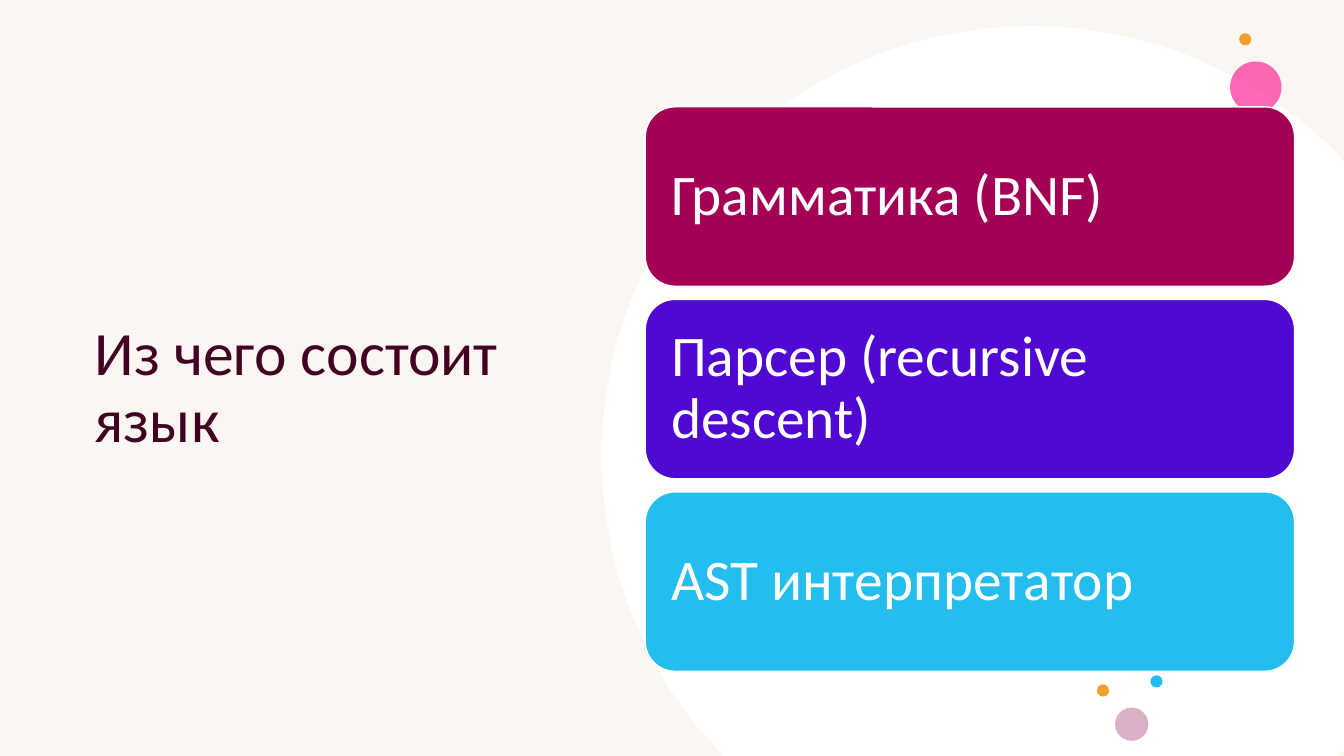
from dataclasses import dataclass

from pptx import Presentation
from pptx.dml.color import RGBColor
from pptx.enum.shapes import MSO_SHAPE as Preset
from pptx.enum.text import MSO_ANCHOR as Anchor, PP_ALIGN as Align
from pptx.oxml.ns import qn
from pptx.util import Inches, Pt
from lxml.etree import Element, SubElement


@dataclass(frozen=True)
class Theme:
    font: str = "Calibri"
    title_size: int = 44
    card_size: int = 41
    white: str = "FFFFFF"
    sand: str = "F0E2D3"
    title: str = "420023"
    crimson: str = "A40056"
    violet: str = "5008D3"
    sky: str = "24BEEE"
    pink: str = "FF2F9C"
    orange: str = "F39E29"
    mauve: str = "DBAFC5"


THEME = Theme()
WIDTH, HEIGHT = 13.33, 7.5
CARDS = [
    ("Грамматика (BNF)", THEME.crimson),
    ("Парсер (recursive descent)", THEME.violet),
    ("AST интерпретатор", THEME.sky),
]
DOTS = [
    (1.32, 0.28, 0.51, THEME.pink, 72),
    (1.41, 0, 0.12, THEME.orange, 100),
    (0.53, 6.37, 0.12, THEME.sky, 100),
    (0.18, 6.69, 0.33, THEME.mauve, 100),
    (0, 6.46, 0.12, THEME.orange, 100),
]
CIRCLE_START = (4.26, 0)
CIRCLE_SEGMENTS = [
    [(5.44, 0), (6.5, 0.48), (7.28, 1.25)],
    [(7.36, 1.35)],
    [(7.36, 7.18)],
    [(7.31, 7.24)],
    [(1.21, 7.24)],
    [(0.97, 6.98)],
    [(0.36, 6.24), (0, 5.29), (0, 4.26)],
    [(0, 1.91), (1.91, 0), (4.26, 0)],
]


def paint(shape, color, opacity=100, line=None):
    shape.shadow.inherit = False
    shape.fill.solid()
    shape.fill.fore_color.rgb = RGBColor.from_string(color)
    if opacity < 100:
        color_element = shape.fill._xPr.find(qn("a:solidFill"))[0]
        SubElement(color_element, qn("a:alpha"), val=str(opacity * 1000))
    if line:
        shape.line.color.rgb = RGBColor.from_string(line)
        shape.line.width = Pt(1)
    else:
        shape.line.fill.background()


def write_text(shape, text, *, size, color, inset_x=0.1, inset_y=0.05):
    frame = shape.text_frame
    frame.word_wrap = True
    frame.vertical_anchor = Anchor.MIDDLE
    frame.margin_left = frame.margin_right = Inches(inset_x)
    frame.margin_top = frame.margin_bottom = Inches(inset_y)
    paragraph = frame.paragraphs[0]
    paragraph.alignment = Align.LEFT
    paragraph.line_spacing = 0.9
    run = paragraph.add_run()
    run.text = text
    run.font.name = THEME.font
    run.font.size = Pt(size)
    run.font.color.rgb = RGBColor.from_string(color)


def place_title(slide, left, top, width, height):
    title = slide.shapes.title
    title.left, title.top = Inches(left), Inches(top)
    title.width, title.height = Inches(width), Inches(height)
    write_text(title, "Из чего состоит язык", size=THEME.title_size, color=THEME.title)


def draw_tint(slide, left, top, width, height):
    tint = slide.shapes.add_shape(
        Preset.RECTANGLE, Inches(left), Inches(top), Inches(width), Inches(height)
    )
    paint(tint, THEME.sand, opacity=30)
    slide.shapes.title.element.addprevious(tint.element)


def draw_circle(slide, left, top):
    def locate(point):
        return Inches(left + point[0]), Inches(top + point[1])

    builder = slide.shapes.build_freeform(*locate(CIRCLE_START))
    builder.add_line_segments([locate(points[-1]) for points in CIRCLE_SEGMENTS])
    circle = builder.convert_to_shape()
    paint(circle, THEME.white)
    lines = list(circle.element.iter(qn("a:lnTo")))
    for line, points in zip(lines, CIRCLE_SEGMENTS):
        if len(points) == 1:
            continue
        curve = Element(qn("a:cubicBezTo"))
        for x, y in points:
            SubElement(curve, qn("a:pt"), x=str(Inches(x)), y=str(Inches(y)))
        line.getparent().replace(line, curve)


def draw_dots(slide, left, top):
    group = slide.shapes.add_group_shape()
    for x, y, size, color, opacity in DOTS:
        dot = group.shapes.add_shape(
            Preset.OVAL, Inches(left + x), Inches(top + y), Inches(size), Inches(size)
        )
        paint(dot, color, opacity)


def draw_cards(slide, left, top, width, height, gap=0.13):
    group = slide.shapes.add_group_shape()
    card_height = (height - gap * (len(CARDS) - 1)) / len(CARDS)
    for index, (text, color) in enumerate(CARDS):
        card_top = top + index * (card_height + gap)
        card = group.shapes.add_shape(
            Preset.ROUNDED_RECTANGLE,
            Inches(left), Inches(card_top), Inches(width), Inches(card_height),
        )
        paint(card, color, line=THEME.white)
        write_text(card, text, size=THEME.card_size, color=THEME.white,
                   inset_x=0.17, inset_y=0.17)


def build_slide(presentation):
    slide = presentation.slides.add_slide(presentation.slide_layouts[5])
    place_title(slide, 0.84, 1.04, 5.04, 5.64)
    draw_tint(slide, 0, 0, WIDTH, HEIGHT)
    draw_circle(slide, 5.97, 0.26)
    draw_dots(slide, 10.88, 0.33)
    draw_cards(slide, 6.4, 1.06, 6.44, 5.6)


def main():
    presentation = Presentation()
    presentation.slide_width = Inches(WIDTH)
    presentation.slide_height = Inches(HEIGHT)
    build_slide(presentation)
    presentation.save("out.pptx")


if __name__ == "__main__":
    main()
